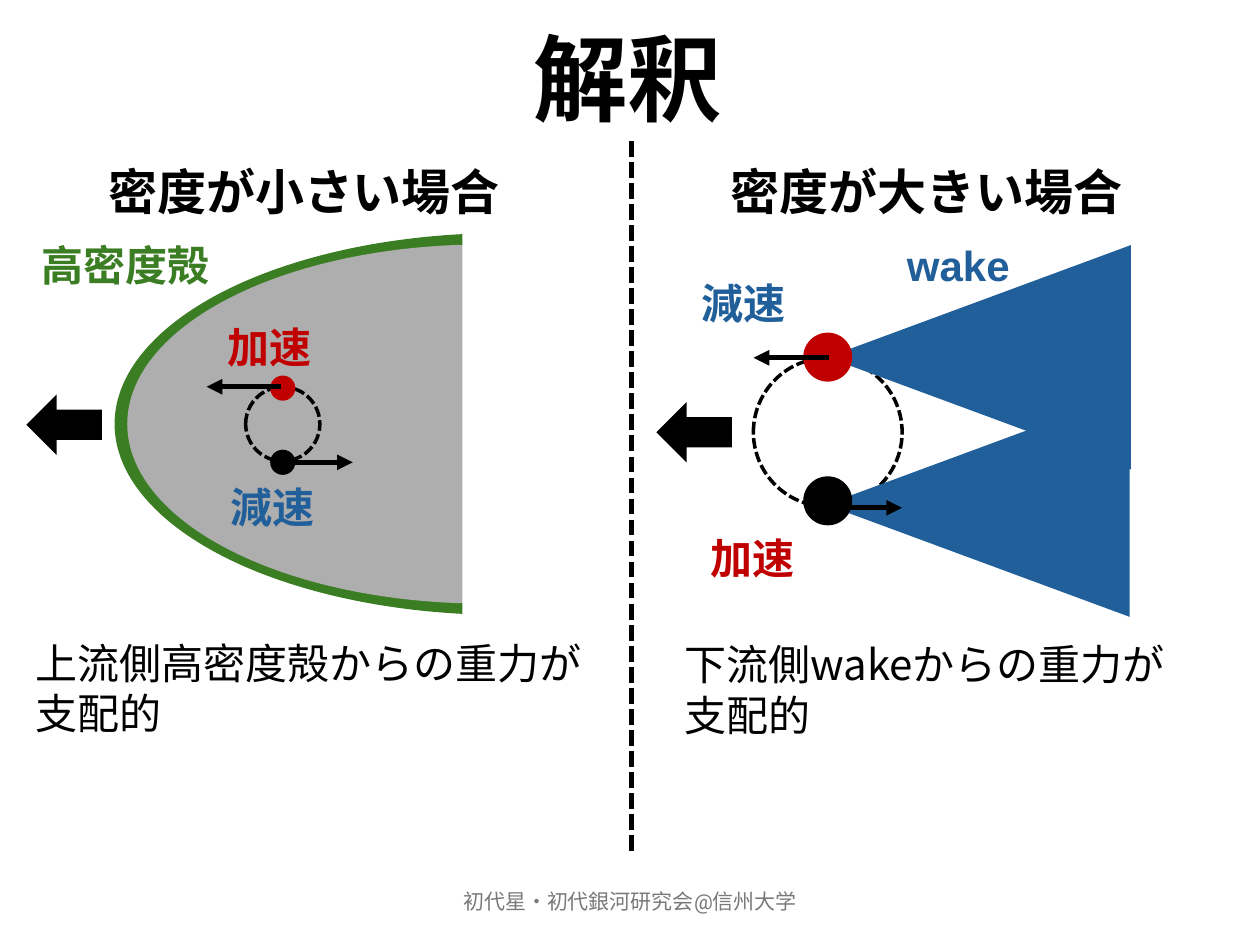
from lxml import etree
from pptx import Presentation
from pptx import util as u
from pptx.dml.color import RGBColor
from pptx.enum import dml, shapes, text
from pptx.oxml.ns import qn

COLORS = {"black": "000000", "white": "FFFFFF", "gray": "AEAEAE", "green": "3B7D23",
          "red": "C00000", "blue": "215F9A", "footer": "797979"}
CJK = "Noto Sans CJK JP"

# Placeholder index: lines, box, size, font, bold, wrap
PLACEHOLDERS = {
    0: (["解釈"], (297.4, 7.9, 126, 72.7), 54, "Arial", True, False),
    1: (["密度が小さい場合"], (54.7, 88.6, 244.8, 41), 28, CJK, True, False),
    3: (["密度が大きい場合"], (410.4, 88.6, 244.8, 41), 28, CJK, True, False),
    2: (["上流側高密度殻からの重力が", "支配的"], (13, 360.7, 329.8, 65.5), 24, CJK, False, True),
    4: (["下流側wakeからの重力が", "支配的"], (383.8, 361.4, 297.4, 65.5), 24, CJK, False, True),
}
# Text, left, top, width, font, colour
LABELS = [
    ("wake", 511.2, 133.2, 74.2, "Arial", "blue"),
    ("高密度殻", 16.6, 133.2, 113.8, CJK, "green"),
    ("加速", 123.1, 180, 64.1, CJK, "red"),
    ("減速", 124.6, 271.4, 64.1, CJK, "blue"),
    ("加速", 398.9, 301, 64.1, CJK, "red"),
    ("減速", 393.8, 154.8, 64.1, CJK, "blue"),
]
FOOTER = ("初代星・初代銀河研究会@信州大学", (238.3, 500.4, 243.4, 28.8))
# Dense shell: outer edge, inside, and the cover that cuts off the right half
SHELL = [("OVAL", (65.5, 133.2, 444.2, 218.2), "green"),
         ("OVAL", (72.7, 139.7, 406.8, 205.2), "gray"),
         ("RECTANGLE", (264.2, 116.6, 258.5, 236.9), "white")]
WAKE_SIZE = (128.2, 173.5)
# Orbit: centre, radius, star radius; each star: colour, y, arrow (x1, x2, y), wake corner
ORBITS = [
    ((161.6, 242.3), 21.2, 7.2,
     [("red", 221.8, (160.6, 118.1, 221), None),
      ("black", 264.2, (159.1, 201.6, 264.2), None)]),
    ((473, 247), 42.5, 14,
     [("red", 204.1, (473.8, 430.6, 204.5), (495.4, 117.4)),
      ("black", 286.2, (472.3, 515.5, 290.2), (494.6, 201.6))]),
]
MOTION_ARROWS = [(15.1, 225.4, 43.2, 34.6), (375.1, 229.7, 43.2, 34.6)]
DIVIDER = (360.7, 80.6, 360.7, 486)


def color(name):
    return RGBColor.from_string(COLORS[name])


def points(values):
    return [u.Pt(value) for value in values]


def circle_box(x, y, radius):
    return x - radius, y - radius, 2 * radius, 2 * radius


def add_shape(kind, box, fill=None):
    shape = slide.shapes.add_shape(getattr(shapes.MSO_SHAPE, kind), *points(box))
    shape.shadow.inherit = False
    if fill:
        shape.fill.solid()
        shape.fill.fore_color.rgb = color(fill)
        shape.line.fill.background()
    else:
        shape.fill.background()
        shape.line.color.rgb = color("black")
        shape.line.width = u.Pt(2)
        shape.line.dash_style = dml.MSO_LINE.SQUARE_DOT
    return shape


def add_line(*ends, arrow=False):
    line = slide.shapes.add_connector(shapes.MSO_CONNECTOR.STRAIGHT, *points(ends))
    line.line.color.rgb = color("black")
    line.line.width = u.Pt(3)
    properties = line.element.spPr
    if arrow:
        etree.SubElement(line.line._get_or_add_ln(), qn("a:tailEnd"), type="triangle")
    else:
        line.line.dash_style = dml.MSO_LINE.SQUARE_DOT
    etree.SubElement(properties, qn("a:effectLst"))


def write(shape, lines, size, font, ink, bold=False, wrap=False,
          align=text.PP_ALIGN.LEFT, anchor=text.MSO_ANCHOR.TOP):
    frame = shape.text_frame
    frame.text = "\n".join(lines)
    frame.word_wrap = wrap
    frame.auto_size = text.MSO_AUTO_SIZE.NONE
    frame.vertical_anchor = anchor
    for paragraph in frame.paragraphs:
        paragraph.alignment = align
        paragraph.space_before = u.Pt(0)
        properties = paragraph._p.get_or_add_pPr()
        properties.set("marL", "0")
        properties.set("indent", "0")
        etree.SubElement(properties, qn("a:buNone"))
        for run in paragraph.runs:
            run.font.size = u.Pt(size)
            run.font.bold = bold
            run.font.color.rgb = color(ink)
            run.font.name = font
            east_asian = etree.Element(qn("a:ea"), typeface=CJK)
            run.font._element.find(qn("a:latin")).addnext(east_asian)


presentation = Presentation()
presentation.slide_width, presentation.slide_height = u.Pt(720), u.Pt(540)
slide = presentation.slides.add_slide(presentation.slide_layouts.get_by_name("Comparison"))

# Shell, then the orbits with their wakes, stars and arrows
for kind, box, fill in SHELL:
    add_shape(kind, box, fill)
for (x, y), radius, star_radius, stars in ORBITS:
    add_shape("OVAL", circle_box(x, y, radius))
    for fill, star_y, (start, end, arrow_y), wake in stars:
        if wake:
            add_shape("ISOSCELES_TRIANGLE", wake + WAKE_SIZE, "blue").rotation = 270
        add_shape("OVAL", circle_box(x, star_y, star_radius), fill)
        add_line(start, arrow_y, end, arrow_y, arrow=True)
for box in MOTION_ARROWS:
    add_shape("LEFT_ARROW", box, "black")
add_line(*DIVIDER)

# Title, headings and statements, in front of the shell's cover
for index, (lines, box, size, font, bold, wrap) in PLACEHOLDERS.items():
    placeholder = next(p for p in slide.placeholders if p.placeholder_format.idx == index)
    placeholder.left, placeholder.top, placeholder.width, placeholder.height = points(box)
    write(placeholder, lines, size, font, "black", bold, wrap)
    placeholder.element.getparent().append(placeholder.element)

# Labels and footer
for label, left, top, width, font, ink in LABELS:
    box = slide.shapes.add_textbox(*points((left, top, width, 36)))
    write(box, [label], 24, font, ink, bold=True)
footer_text, footer_box = FOOTER
write(slide.shapes.add_textbox(*points(footer_box)), [footer_text], 12, "Roboto", "footer",
      wrap=True, align=text.PP_ALIGN.CENTER, anchor=text.MSO_ANCHOR.MIDDLE)

presentation.save("out.pptx")
